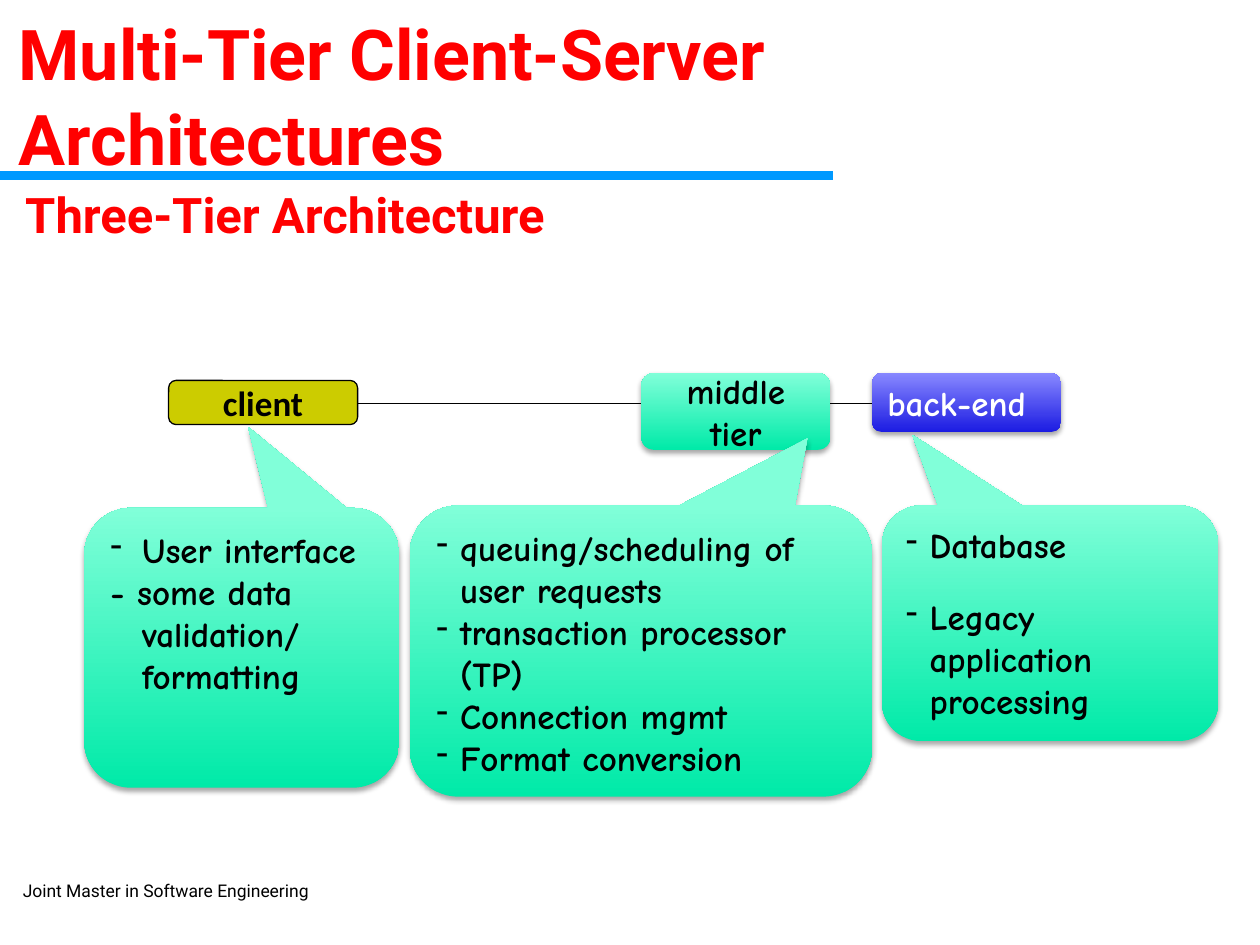
from lxml import etree
from pptx import Presentation
from pptx import util as u
from pptx.dml.color import RGBColor
from pptx.enum import shapes, text
from pptx.oxml.ns import qn

COLOURS = {
    "heading": "FF0000", "rule": "0099FF", "ink": "000000", "paper": "FFFFFF",
    "client": "CCCC00", "mint_low": "00EAA8", "mint_high": "81FFD9",
    "blue_low": "1C1CE2", "blue_high": "8888FF",
}
MINT = ("mint_low", "mint_high")
BLUE = ("blue_low", "blue_high")
ROUNDING = 0.167
WIRE_Y = 8.13


def colour(name):
    """Return the named colour."""
    return RGBColor.from_string(COLOURS[name])


def place(box):
    """Turn a box in centimetres into lengths."""
    return [u.Cm(value) for value in box]


def add_bullet(paragraph):
    """Put a black dash before a paragraph."""
    props = paragraph._p.get_or_add_pPr()
    bullet_colour = etree.SubElement(props, qn("a:buClr"))
    etree.SubElement(bullet_colour, qn("a:srgbClr"), val=COLOURS["ink"])
    etree.SubElement(props, qn("a:buChar"), char="-")


def write(frame, lines, size=20, font="Comic Neue", ink="ink", bold=True,
          align=text.PP_ALIGN.LEFT, anchor=text.MSO_ANCHOR.TOP, inset=(0.25, 0.13),
          indent=0, bullets=0, spacing=None, gap=0):
    """Write lines as paragraphs, the first few of them bulleted."""
    frame.word_wrap = True
    frame.vertical_anchor = anchor
    frame.margin_left = frame.margin_right = u.Cm(inset[0])
    frame.margin_top = frame.margin_bottom = u.Cm(inset[1])
    for number, line in enumerate(lines):
        paragraph = frame.add_paragraph() if number else frame.paragraphs[0]
        paragraph.text = line
        paragraph.alignment = align
        if indent:
            props = paragraph._p.get_or_add_pPr()
            props.set("marL", str(u.Cm(indent)))
            props.set("indent", str(-u.Cm(indent)))
        if number < bullets:
            add_bullet(paragraph)
        if spacing:
            paragraph.line_spacing = spacing
        if number and gap:
            paragraph.space_before = u.Pt(gap)
        for run in paragraph.runs:
            run.font.size = u.Pt(size)
            run.font.name = font
            run.font.bold = bold
            run.font.color.rgb = colour(ink)


def add_label(slide, box, line, **style):
    """Add a plain line of text without insets."""
    label = slide.shapes.add_textbox(*place(box))
    write(label.text_frame, [line], font="Roboto", inset=(0, 0), **style)


def add_solid(slide, kind, box, fill):
    """Add a flat shape without outline or shadow."""
    solid = slide.shapes.add_shape(kind, *place(box))
    solid.shadow.inherit = False
    solid.fill.solid()
    solid.fill.fore_color.rgb = colour(fill)
    solid.line.fill.background()
    return solid


def add_raised(slide, kind, box, shades):
    """Add a shape with a vertical gradient and a soft shadow."""
    raised = slide.shapes.add_shape(kind, *place(box))
    raised.line.fill.background()
    raised.fill.gradient()
    raised.fill.gradient_angle = 90
    for stop, shade, position in zip(raised.fill.gradient_stops, shades, (0, 1)):
        stop.color.rgb = colour(shade)
        stop.position = position
    raised.shadow.inherit = False
    effects = raised._element.spPr.find(qn("a:effectLst"))
    shadow = etree.SubElement(effects, qn("a:outerShdw"), blurRad=str(u.Pt(3.1)),
                              dist=str(u.Pt(1.8)), dir="5400000", rotWithShape="0")
    tint = etree.SubElement(shadow, qn("a:srgbClr"), val=COLOURS["ink"])
    etree.SubElement(tint, qn("a:alpha"), val="35000")
    return raised


def add_tier(slide, box, name, shades, **style):
    """Add a raised tier box with its name."""
    tier = add_raised(slide, shapes.MSO_SHAPE.ROUNDED_RECTANGLE, box, shades)
    tier.adjustments[0] = ROUNDING
    write(tier.text_frame, [name], anchor=text.MSO_ANCHOR.MIDDLE, **style)


def add_callout(slide, box, tip, lines, **style):
    """Add a callout that lists the duties of a tier."""
    callout = add_raised(slide, shapes.MSO_SHAPE.ROUNDED_RECTANGULAR_CALLOUT, box, MINT)
    for index, value in enumerate((*tip, ROUNDING)):
        callout.adjustments[index] = value
    write(callout.text_frame, lines, **style)


def add_wire(slide, start, end):
    """Join two tiers with a thin level line."""
    wire = slide.shapes.add_connector(
        shapes.MSO_CONNECTOR.STRAIGHT, *place((start, WIRE_Y, end, WIRE_Y)))
    wire.line.color.rgb = colour("ink")
    wire.line.width = u.Pt(0.75)
    etree.SubElement(wire._element.spPr, qn("a:effectLst"))


def main():
    """Build the slide on three-tier architecture."""
    deck = Presentation()
    deck.slide_width, deck.slide_height = u.Cm(25.4), u.Cm(19.05)
    slide = deck.slides.add_slide(deck.slide_layouts[6])

    add_solid(slide, shapes.MSO_SHAPE.RECTANGLE, (0, 3.45, 16.79, 0.18), "rule")
    add_label(slide, (0.46, 17.73, 8.05, 1.32), "Joint Master in Software Engineering",
              size=10, bold=False, spacing=1.01)
    add_label(slide, (0.38, 0.71, 23.7, 2.41), "Multi-Tier Client-Server Architectures",
              size=40, ink="heading", anchor=text.MSO_ANCHOR.MIDDLE, spacing=1.01)
    add_label(slide, (0.51, 3.73, 24.89, 2.01), "Three-Tier Architecture",
              size=28, ink="heading")

    client = add_solid(slide, shapes.MSO_SHAPE.ROUNDED_RECTANGLE,
                       (3.4, 7.67, 3.81, 0.89), "client")
    client.adjustments[0] = ROUNDING
    client.line.color.rgb = colour("ink")
    client.line.width = u.Pt(0.75)
    write(client.text_frame, ["client"], font="Calibri",
          align=text.PP_ALIGN.CENTER, anchor=text.MSO_ANCHOR.MIDDLE)

    add_wire(slide, 7.21, 12.93)
    add_tier(slide, (12.93, 7.52, 3.81, 1.55), "middle\ntier", MINT,
             align=text.PP_ALIGN.CENTER)
    add_tier(slide, (17.58, 7.52, 3.81, 1.19), "back-end", BLUE, ink="paper")
    add_wire(slide, 16.74, 17.58)

    add_callout(slide, (8.26, 10.19, 9.32, 5.87), (0.36, -0.73),
                ["queuing/scheduling of user requests", "transaction processor (TP)",
                 "Connection mgmt", "Format conversion"], indent=0.48, bullets=4)
    add_callout(slide, (17.78, 10.19, 6.78, 4.75), (-0.41, -0.8),
                ["Database", "Legacy application processing"],
                indent=0.48, bullets=2, gap=17)
    add_callout(slide, (1.7, 10.24, 6.35, 5.64), (0.02, -0.79),
                ["User interface", "- some data validation/ formatting"],
                indent=0.64, bullets=1)
    deck.save("out.pptx")


if __name__ == "__main__":
    main()
